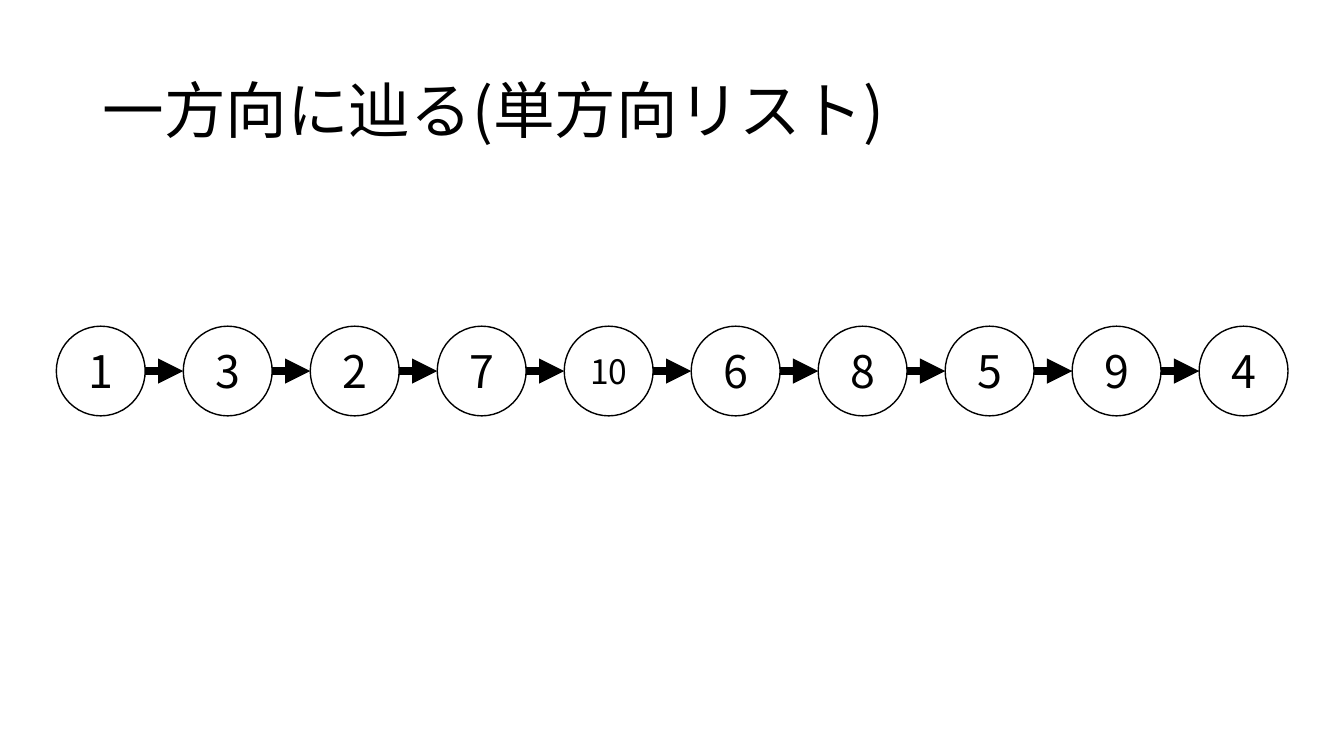
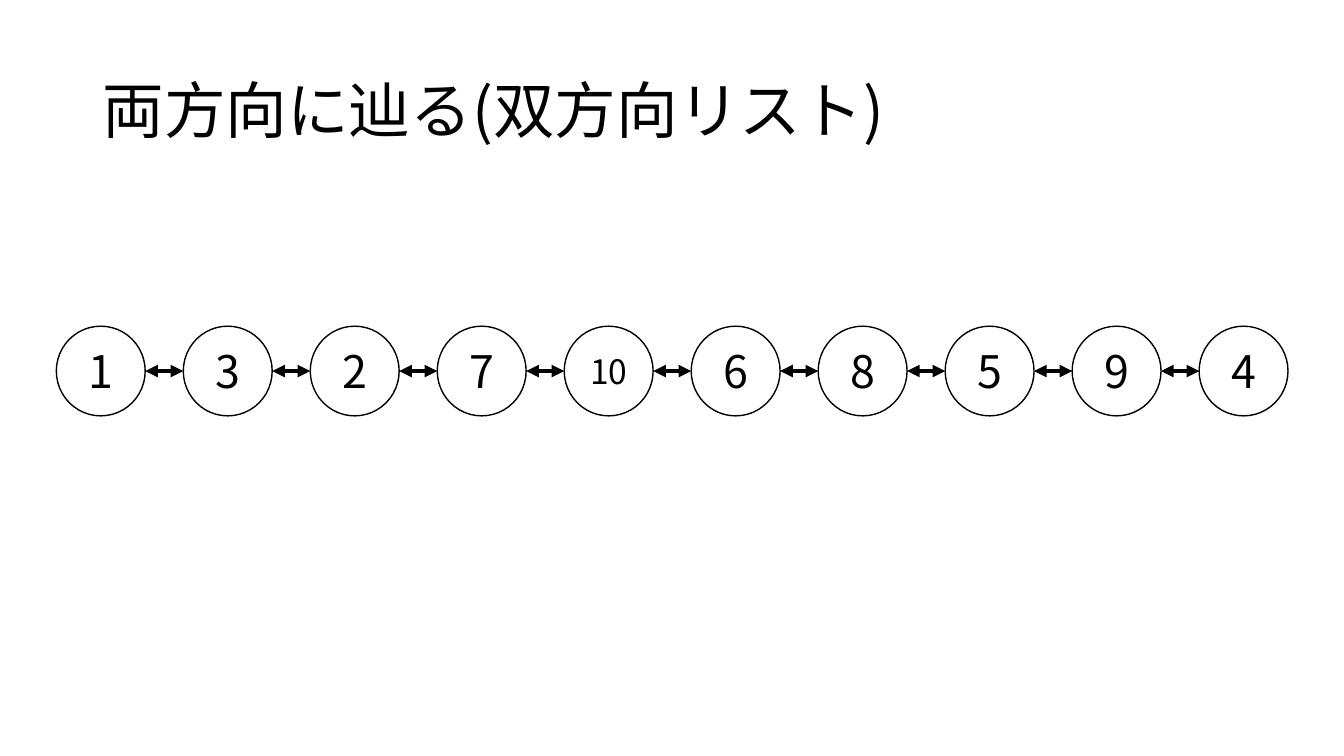
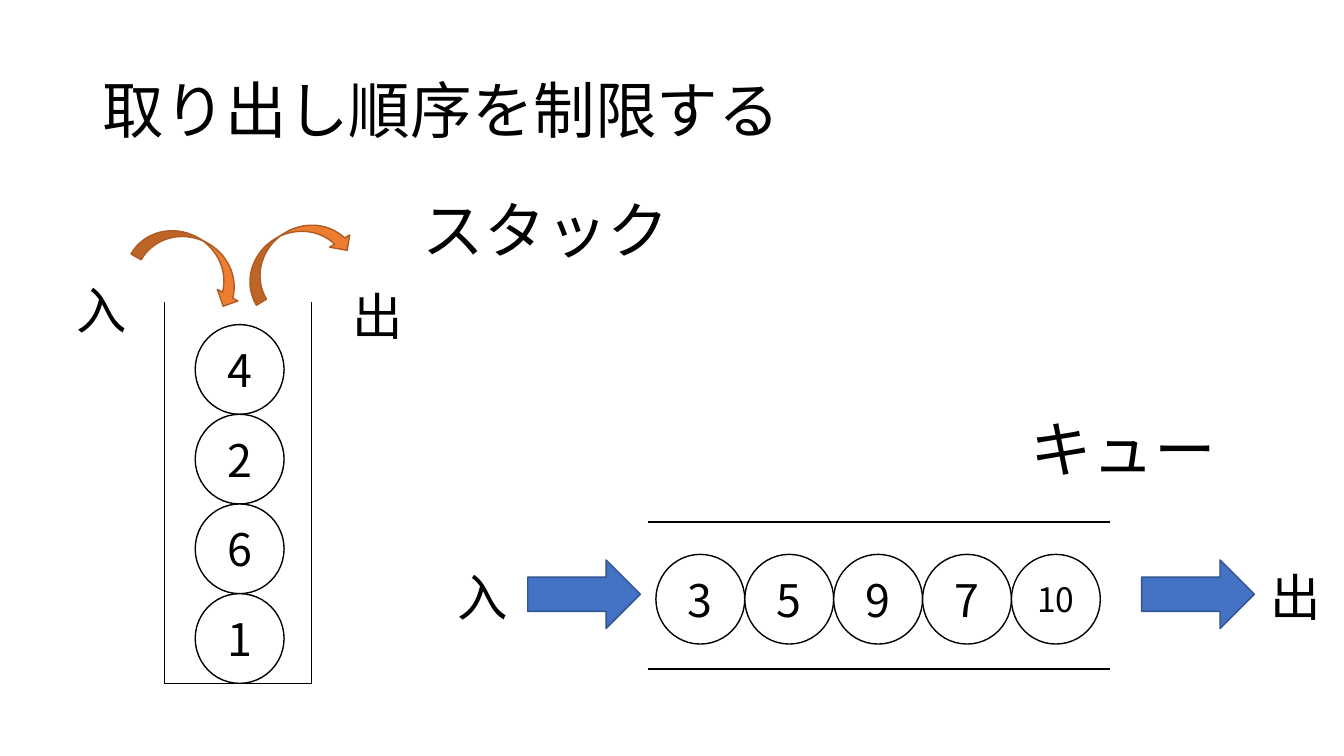
from lxml import etree
from pptx import Presentation
from pptx.dml.color import RGBColor
from pptx.enum.shapes import MSO_CONNECTOR, MSO_SHAPE
from pptx.enum.text import MSO_ANCHOR, MSO_AUTO_SIZE, PP_ALIGN
from pptx.oxml.ns import qn
from pptx.util import Cm, Pt

BLACK = RGBColor(0x00, 0x00, 0x00)
WHITE = RGBColor(0xFF, 0xFF, 0xFF)
BLUE = RGBColor(0x44, 0x72, 0xC4)
NAVY = RGBColor(0x32, 0x54, 0x91)
ORANGE = RGBColor(0xED, 0x7D, 0x31)
BROWN = RGBColor(0xAF, 0x5C, 0x24)
FONT = "Noto Sans CJK JP"

LEFT, CENTER = PP_ALIGN.LEFT, PP_ALIGN.CENTER
TOP, MIDDLE = MSO_ANCHOR.TOP, MSO_ANCHOR.MIDDLE
FIXED = MSO_AUTO_SIZE.NONE
STRAIGHT = MSO_CONNECTOR.STRAIGHT
OVAL, RIGHT = MSO_SHAPE.OVAL, MSO_SHAPE.RIGHT_ARROW
CURVED = MSO_SHAPE.CURVED_DOWN_ARROW

# Node size and the step between linked nodes, in cm
WIDE, HIGH, STEP = 2.24, 2.26, 3.2
CHAIN = (1, 3, 2, 7, 10, 6, 8, 5, 9, 4)


def write(shape, text, size=36, align=LEFT, anchor=TOP, space=None):
    """Put one formatted paragraph into a shape."""
    frame = shape.text_frame
    frame.word_wrap = True
    frame.auto_size = FIXED
    frame.vertical_anchor = anchor
    par = frame.paragraphs[0]
    par.alignment = align
    par.line_spacing = space
    run = par.add_run()
    run.text = text
    run.font.size = Pt(size)
    run.font.name = FONT
    run.font.color.rgb = BLACK
    east = etree.SubElement(run.font._element, qn("a:ea"))
    east.set("typeface", FONT)


def label(slide, text, x, y, w, h=1.8, **style):
    write(slide.shapes.add_textbox(Cm(x), Cm(y), Cm(w), Cm(h)), text, **style)


def solid(slide, kind, x, y, w, h, fill, edge, turn=0):
    """Add a filled and outlined preset shape."""
    shape = slide.shapes.add_shape(kind, Cm(x), Cm(y), Cm(w), Cm(h))
    shape.shadow.inherit = False
    shape.fill.solid()
    shape.fill.fore_color.rgb = fill
    shape.line.color.rgb = edge
    shape.line.width = Pt(1)
    shape.rotation = turn
    return shape


def line(slide, x1, y1, x2, y2, width=1, ends=()):
    """Add a straight line with triangles at the named ends."""
    link = slide.shapes.add_connector(STRAIGHT, Cm(x1), Cm(y1), Cm(x2), Cm(y2))
    link.line.color.rgb = BLACK
    link.line.width = Pt(width)
    for end in ends:
        etree.SubElement(link.line._ln, qn(f"a:{end}")).set("type", "triangle")
    etree.SubElement(link._element.spPr, qn("a:effectLst"))


def nodes(slide, values, x, y, dx=0, dy=0):
    """Lay out numbered circles at equal steps."""
    for i, value in enumerate(values):
        node = solid(slide, OVAL, x + i * dx, y + i * dy, WIDE, HIGH,
                     WHITE, BLACK)
        write(node, str(value), size=24 if value > 9 else 32,
              align=CENTER, anchor=MIDDLE)


def page(deck, title):
    slide = deck.slides.add_slide(deck.slide_layouts[5])
    head = slide.shapes.title
    head.left, head.top, head.width, head.height = (
        Cm(2.33), Cm(1.01), Cm(29.21), Cm(3.68))
    write(head, title, size=44, anchor=MIDDLE, space=0.9)
    return slide


def chain(slide, x, y, width, ends):
    """Linked list: a row of nodes joined by arrows."""
    nodes(slide, CHAIN, x, y, dx=STEP)
    mid = y + HIGH / 2
    for i in range(1, len(CHAIN)):
        stop = x + i * STEP
        line(slide, stop - STEP + WIDE, mid, stop, mid, width, ends)


def stack(slide, x, y, w, h):
    """Open-topped box of nodes, filled and emptied from above."""
    values = (4, 2, 6, 1)
    nodes(slide, values, x + 0.78, y + h - len(values) * HIGH, dy=HIGH)
    pen = slide.shapes.build_freeform(Cm(x), Cm(y))
    pen.add_line_segments(
        [(Cm(x), Cm(y + h)), (Cm(x + w), Cm(y + h)), (Cm(x + w), Cm(y))],
        close=False)
    wall = pen.convert_to_shape()
    wall.shadow.inherit = False
    wall.fill.background()
    wall.line.color.rgb = BLACK
    wall.line.width = Pt(1)
    # Ways in and out
    for dx, dy, turn in ((-0.74, -1.6, 29.5), (1.8, -1.8, 328.8)):
        solid(slide, CURVED, x + dx, y + dy, 2.97, 1.19, ORANGE, BROWN, turn)
    label(slide, "入", x - 2.46, y - 0.71, 2.03)
    label(slide, "出", x + 4.5, y - 0.56, 1.78)
    label(slide, "スタック", x + 6.27, y - 2.92, 6.8, 2.13, size=44)


def queue(slide, x, y, w, h):
    """Open-ended pipe of nodes, filled at left and emptied at right."""
    nodes(slide, (3, 5, 9, 7, 10), x + 0.2, y + 0.82, dx=WIDE)
    for edge in (y, y + h):
        line(slide, x, edge, x + w, edge)
    # Ways in and out
    for text, dx, size, at in (("入", -5.06, 2.03, -3.03),
                               ("出", 15.44, 1.78, 12.44)):
        solid(slide, RIGHT, x + at, y + 0.96, 2.84, 1.73, BLUE, NAVY)
        label(slide, text, x + dx, y + 1, size)
    label(slide, "キュー", x + 9.4, y - 2.92, 5.24, 2.13, size=44)


def main():
    deck = Presentation()
    deck.slide_width, deck.slide_height = Cm(33.87), Cm(19.05)
    for title, width, ends in (
            ("一方向に辿る(単方向リスト)", 6, ("tailEnd",)),
            ("両方向に辿る(双方向リスト)", 3, ("headEnd", "tailEnd"))):
        chain(page(deck, title), 1.42, 8.22, width, ends)
    limit = page(deck, "取り出し順序を制限する")
    stack(limit, 4.14, 7.62, 3.71, 9.6)
    queue(limit, 16.33, 13.15, 11.64, 3.71)
    deck.save("out.pptx")


if __name__ == "__main__":
    main()
